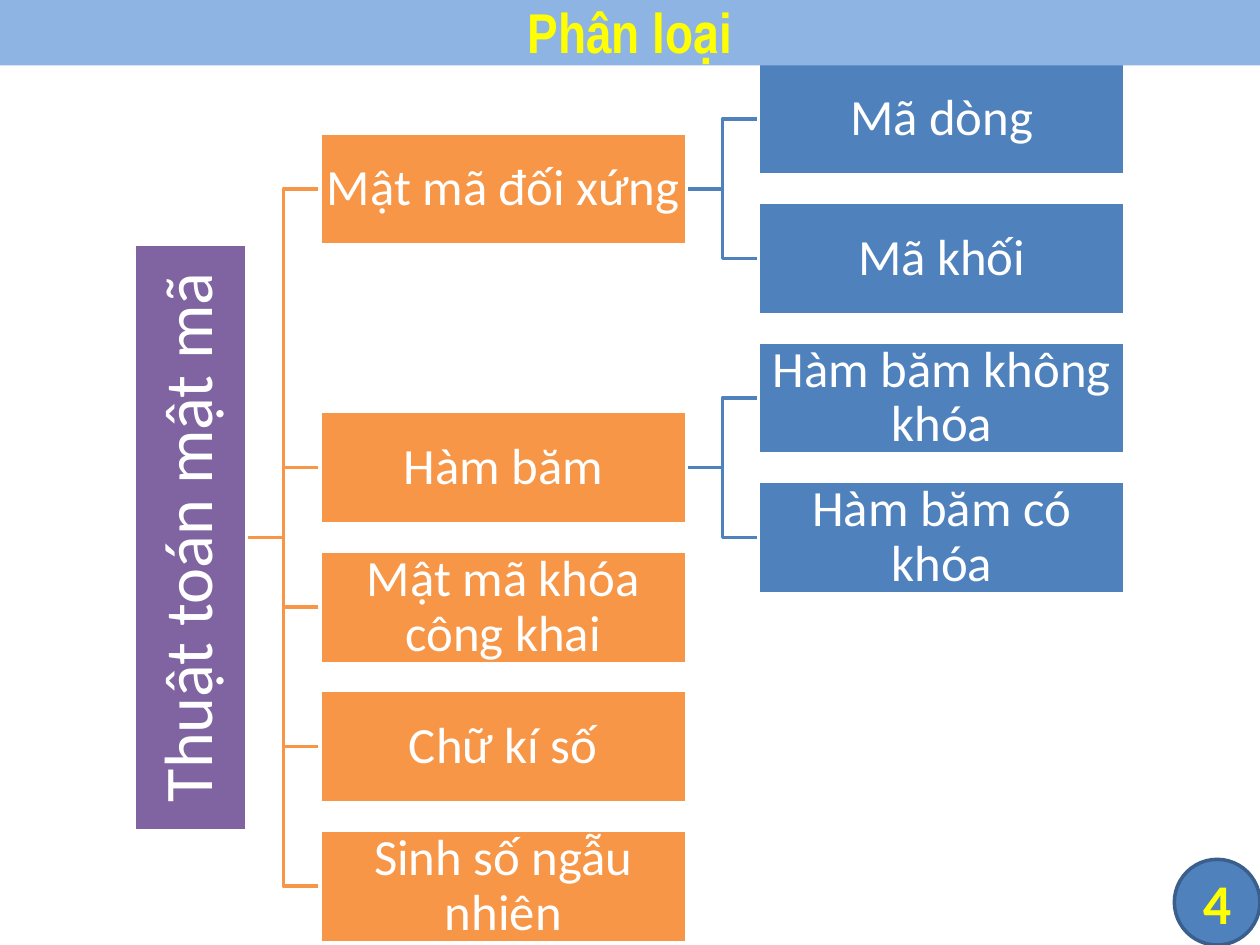
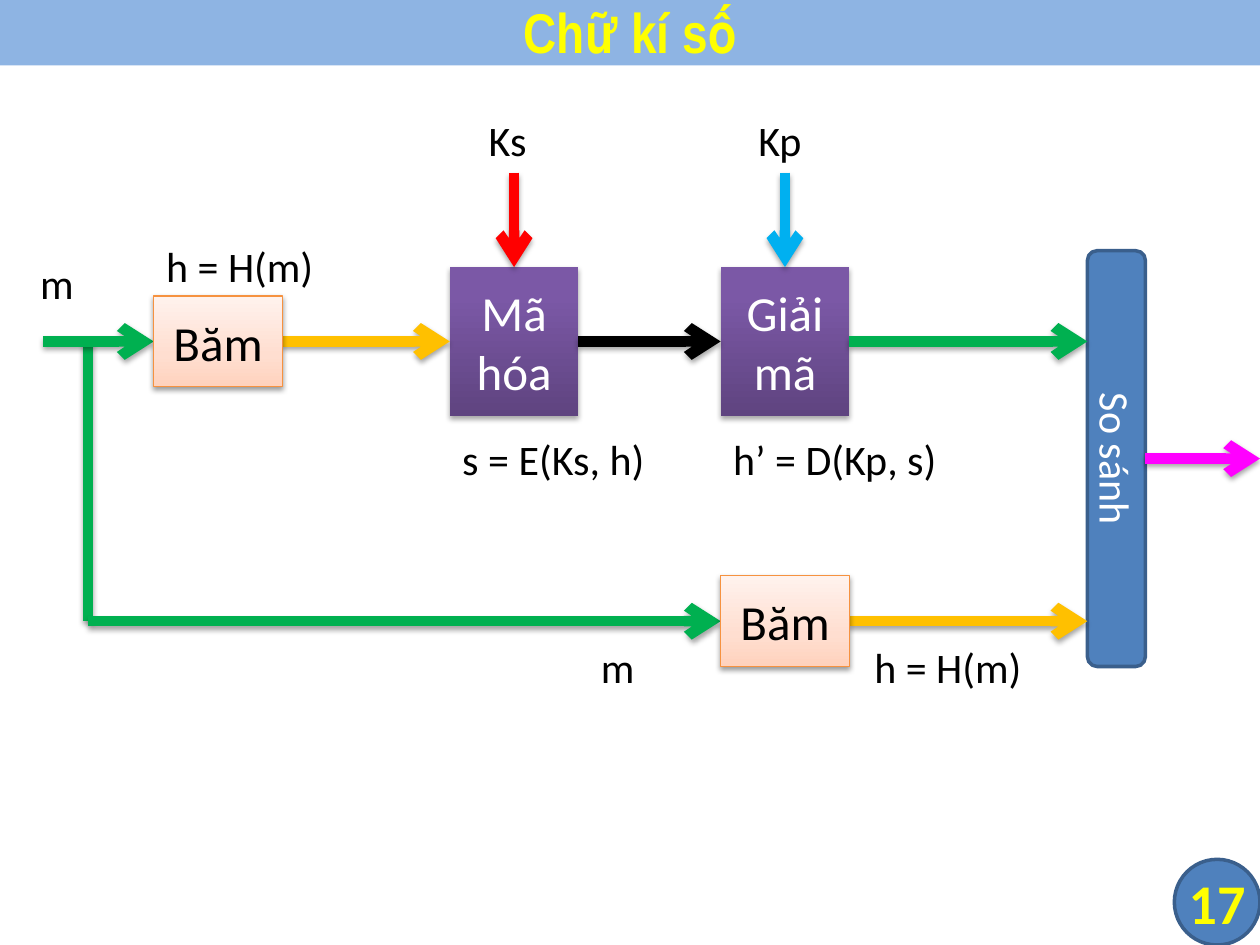
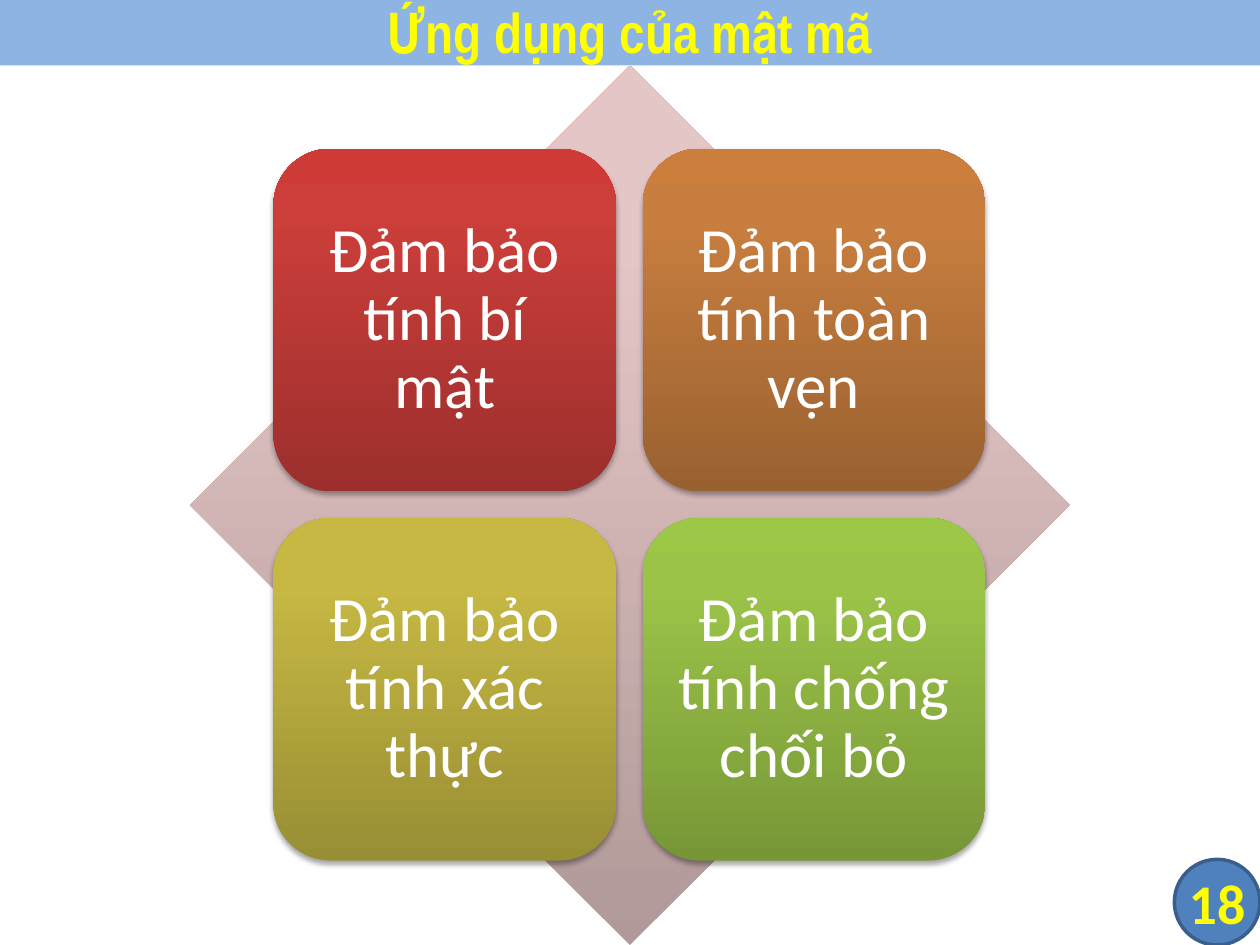
from copy import deepcopy

from lxml import etree
from pptx import Presentation
from pptx import util as u
from pptx.dml.color import RGBColor
from pptx.enum import shapes, text
from pptx.oxml.ns import qn

COLORS = {
    "band": "8EB4E3", "yellow": "FFFF00", "white": "FFFFFF", "black": "000000",
    "blue": "4F81BD", "blue_edge": "3A5F8C", "orange": "F79646", "purple": "8064A2",
    "hash_edge": "F69240", "green": "00B050", "amber": "FFC000", "red": "FF0000",
    "sky": "00B0F0", "magenta": "FF00FF",
}
GRADIENTS = {
    "cipher": [(0, "5F4480"), (0.8, "7B58A6"), (1, "7C57A8")],
    "hash": [(0, "FFD2BD"), (0.35, "FFDED0"), (1, "FFF2ED")],
    "diamond": [(0, "B09998"), (0.8, "E5C6C6"), (1, "E6C7C6")],
    "red_tile": [(0, "9C2F2D"), (0.8, "CB3E3A"), (1, "CE3B37")],
    "brown_tile": [(0, "9A6130"), (0.8, "C87E3F"), (1, "CC7E3C")],
    "olive_tile": [(0, "988E34"), (0.8, "C6B843"), (1, "C9BB41")],
    "green_tile": [(0, "779737"), (0.8, "9BC348"), (1, "9DC746")],
}
SHAPE = shapes.MSO_SHAPE


def rgb(name):
    return RGBColor.from_string(COLORS[name])


class SlideBuilder:
    font = "Calibri"
    title_font = "Arial Narrow"

    def __init__(self, deck):
        self.deck = deck
        self.page = None

    def start(self, title, number):
        self.page = self.deck.slides.add_slide(self.deck.slide_layouts[5])
        self.box((9.32, 6.82, 0.68, 0.68), "blue", str(number), 32, "yellow",
                 SHAPE.FLOWCHART_CONNECTOR, edge="blue_edge", inset=0, bold=True)
        self.title(title)

    def title(self, words):
        band = self.page.shapes.title
        self.place(band, (0, -0.03, 10, 0.55))
        self.paint(band, "band")
        band.text_frame.auto_size = text.MSO_AUTO_SIZE.NONE
        self.set_words(band, words, 32, "yellow", self.title_font, True)

    def raise_title(self):
        band = self.page.shapes.title.element
        band.getparent().append(band)

    def place(self, shape, at):
        shape.left, shape.top, shape.width, shape.height = map(u.Inches, at)

    def paint(self, shape, fill):
        if fill not in GRADIENTS:
            shape.fill.solid()
            shape.fill.fore_color.rgb = rgb(fill)
            return
        shape.fill.gradient()
        shape.fill.gradient_angle = 90
        stop_list = shape.element.spPr.find(".//" + qn("a:gsLst"))
        stop_list.append(deepcopy(stop_list[-1]))
        for stop, (position, color) in zip(shape.fill.gradient_stops, GRADIENTS[fill]):
            stop.position = position
            stop.color.rgb = RGBColor.from_string(color)

    def set_words(self, shape, words, size, ink, font=None, bold=False, align="CENTER",
                  spacing=None):
        frame = shape.text_frame
        frame.text = words
        frame.vertical_anchor = text.MSO_ANCHOR.MIDDLE
        para = frame.paragraphs[0]
        para.alignment = text.PP_ALIGN[align]
        para.line_spacing = spacing
        span = para.runs[0].font
        span.name, span.size, span.bold = font or self.font, u.Pt(size), bold
        span.color.rgb = rgb(ink)

    def cast_shadow(self, effects, alpha=35, distance=1.8):
        shadow = etree.SubElement(effects, qn("a:outerShdw"), blurRad=str(u.Pt(3.1)),
                                  dist=str(u.Pt(distance)), dir="5400000", rotWithShape="0")
        color = etree.SubElement(shadow, qn("a:srgbClr"), val=COLORS["black"])
        etree.SubElement(color, qn("a:alpha"), val=str(alpha * 1000))

    def box(self, at, fill, words="", size=28, ink="white", kind=SHAPE.RECTANGLE, edge=None,
            edge_width=2, inset=None, rotation=0, shadow=None, bold=False, spacing=None):
        shape = self.page.shapes.add_shape(kind, *map(u.Inches, at))
        shape.rotation = rotation
        self.paint(shape, fill)
        if edge:
            shape.line.color.rgb = rgb(edge)
            shape.line.width = u.Pt(edge_width)
        else:
            shape.line.fill.background()
        shape.shadow.inherit = False
        if shadow:
            self.cast_shadow(shape.element.spPr.find(qn("a:effectLst")), *shadow)
        if words:
            frame = shape.text_frame
            frame.word_wrap = True
            if inset is not None:
                frame.margin_left = frame.margin_right = u.Inches(inset)
                frame.margin_top = frame.margin_bottom = u.Inches(inset)
            self.set_words(shape, words, size, ink, bold=bold, spacing=spacing)

    def label(self, words, left, top, width, wrap=False):
        shape = self.page.shapes.add_textbox(*map(u.Inches, (left, top, width, 0.5)))
        shape.text_frame.word_wrap = wrap
        shape.text_frame.auto_size = text.MSO_AUTO_SIZE.SHAPE_TO_FIT_TEXT
        self.set_words(shape, words, 24, "black", align="LEFT")

    def arrow(self, start, end, color, head=True):
        line = self.page.shapes.add_connector(shapes.MSO_CONNECTOR.STRAIGHT,
                                              *map(u.Inches, (*start, *end)))
        line.line.color.rgb = rgb(color)
        line.line.width = u.Pt(6)
        props = line.element.spPr
        if head:
            etree.SubElement(props.find(qn("a:ln")), qn("a:tailEnd"), type="arrow")
        self.cast_shadow(etree.SubElement(props, qn("a:effectLst")))

    def elbow(self, start, end, color):
        middle = (start[0] + end[0]) / 2
        corners = [start, (middle, start[1]), (middle, end[1]), end]
        points = [(u.Inches(x), u.Inches(y)) for x, y in corners]
        builder = self.page.shapes.build_freeform(*points[0])
        builder.add_line_segments(points[1:], close=False)
        bracket = builder.convert_to_shape()
        bracket.fill.background()
        bracket.line.color.rgb = rgb(color)
        bracket.line.width = u.Pt(2)
        bracket.shadow.inherit = False


def classification(slide):
    slide.start("Phân loại", 4)
    width, height, first_top, pitch = 2.91, 0.89, 0.5, 1.107
    root_right, branch_left, leaf_left = 1.96, 2.54, 6.02
    branches = [
        (0.5, "Mật mã đối xứng", [(0, "Mã dòng"), (1, "Mã khối")]),
        (2.5, "Hàm băm", [(2, "Hàm băm không khóa"), (3, "Hàm băm có khóa")]),
        (3.5, "Mật mã khóa công khai", []),
        (4.5, "Chữ kí số", []),
        (5.5, "Sinh số ngẫu nhiên", []),
    ]

    def middle(row):
        return first_top + row * pitch + height / 2

    def node(left, row, fill, words):
        slide.box((left, first_top + row * pitch, width, height), fill, words, 29,
                  edge="white", inset=0.02, spacing=0.9)

    for row, _, leaves in branches:
        slide.elbow((root_right, middle(3)), (branch_left, middle(row)), "orange")
        for leaf_row, _ in leaves:
            slide.elbow((branch_left + width, middle(row)), (leaf_left, middle(leaf_row)), "blue")
    slide.box((-0.82, 3.82, 4.66, height), "purple", "Thuật toán mật mã", 39,
              edge="white", inset=0.03, rotation=270, spacing=0.9)
    for row, words, leaves in branches:
        node(branch_left, row, "orange", words)
        for leaf_row, leaf in leaves:
            node(leaf_left, leaf_row, "blue", leaf)
    slide.raise_title()


def signature(slide):
    slide.start("Chữ kí số", 17)
    upper, lower, width = 2.71, 4.93, 1.02
    hash_left, sign_left, verify_left, compare_left = 1.22, 3.57, 5.72, 8.63
    fork = 0.7

    for left, words in ((sign_left, "Mã hóa"), (verify_left, "Giải mã")):
        slide.box((left, 2.12, width, 1.18), "cipher", words, shadow=(35, 1.8))
    slide.box((7.21, 3.41, 3.3, 0.46), "blue", "So sánh", 24, kind=SHAPE.ROUNDED_RECTANGLE,
              edge="blue_edge", rotation=90)

    slide.arrow((fork, upper), (fork, lower), "green", head=False)
    for left, right, level, color in (
        (0.34, hash_left, upper, "green"),
        (hash_left + width, sign_left, upper, "amber"),
        (sign_left + width, verify_left, upper, "black"),
        (verify_left + width, compare_left, upper, "green"),
        (fork, verify_left, lower, "green"),
        (verify_left + width, compare_left, lower, "amber"),
        (9.09, 10, 3.64, "magenta"),
    ):
        slide.arrow((left, level), (right, level), color)
    for left, color in ((sign_left, "red"), (verify_left, "sky")):
        slide.arrow((left + width / 2, 1.37), (left + width / 2, 2.12), color)

    for left, level in ((hash_left, upper), (verify_left, lower)):
        slide.box((left, level - 0.36, width, 0.72), "hash", "Băm", ink="black",
                  edge="hash_edge", edge_width=0.75, shadow=(38, 1.6))

    for words, left, top, label_width in (
        ("m", 0.22, 1.99, 0.48),
        ("m", 4.67, 5.04, 0.48),
        ("Ks", 3.78, 0.86, 0.59),
        ("Kp", 5.92, 0.86, 0.61),
        ("h = H(m)", hash_left, 1.86, 1.52),
        ("h = H(m)", 6.84, 5.04, 1.52),
    ):
        slide.label(words, left, top, label_width)
    slide.label("s = E(Ks, h)", sign_left, 3.39, 2.25, wrap=True)
    slide.label("h’ = D(Kp, s)", verify_left, 3.39, 2.25, wrap=True)


def applications(slide):
    slide.start("Ứng dụng của mật mã", 18)
    slide.box((1.51, 0.52, 6.98, 6.98), "diamond", kind=SHAPE.DIAMOND)
    tile, step = 2.72, 2.93
    goals = [
        ("Đảm bảo tính bí mật", "red_tile"),
        ("Đảm bảo tính toàn vẹn", "brown_tile"),
        ("Đảm bảo tính xác thực", "olive_tile"),
        ("Đảm bảo tính chống chối bỏ", "green_tile"),
    ]
    for index, (words, fill) in enumerate(goals):
        row, column = divmod(index, 2)
        slide.box((2.17 + column * step, 1.18 + row * step, tile, tile), fill, words, 36,
                  kind=SHAPE.ROUNDED_RECTANGLE, inset=0.15, shadow=(35, 1.8), spacing=0.9)
    slide.raise_title()


def main():
    deck = Presentation()
    deck.slide_width, deck.slide_height = u.Inches(10), u.Inches(7.5)
    slide = SlideBuilder(deck)
    classification(slide)
    signature(slide)
    applications(slide)
    deck.save("out.pptx")


if __name__ == "__main__":
    main()
